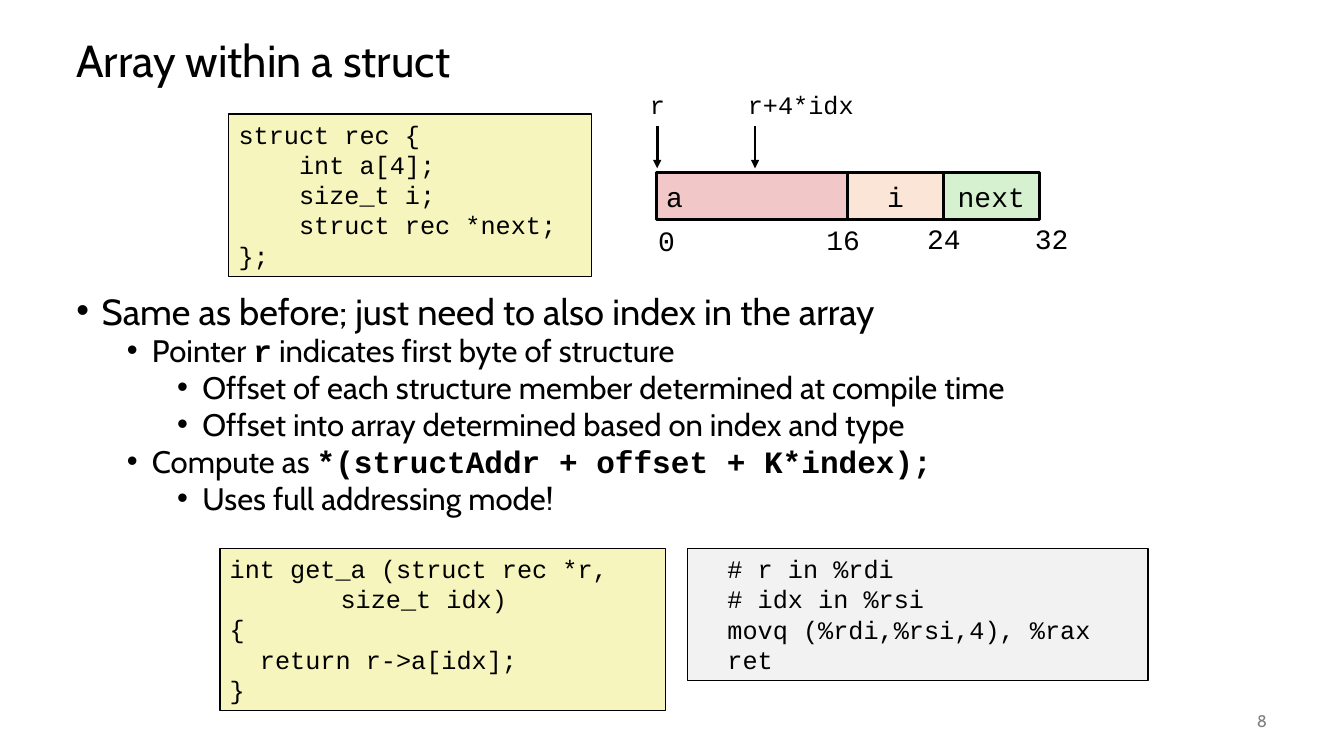
from dataclasses import dataclass
from lxml.etree import SubElement
from pptx import Presentation
from pptx.dml.color import RGBColor
from pptx.enum.shapes import MSO_CONNECTOR, MSO_SHAPE
from pptx.enum.text import MSO_ANCHOR, PP_ALIGN
from pptx.oxml.ns import qn
from pptx.util import Pt


@dataclass(frozen=True)
class Theme:
    ink: str = "000000"
    muted: str = "808080"
    c_code: str = "F6F5BD"
    assembly: str = "F2F2F2"
    array: str = "F1C7C7"
    index: str = "FBE5D6"
    pointer: str = "D5F1CF"
    sans: str = "Cabin"
    mono: str = "Courier New"
    title_size: float = 32
    lead_size: float = 25.9
    point_size: float = 22.2
    cell_size: float = 20
    code_size: float = 18
    number_size: float = 12


theme = Theme()
presentation = Presentation()
presentation.slide_width, presentation.slide_height = Pt(960), Pt(540)
slide = presentation.slides.add_slide(presentation.slide_layouts[6])


def style(run, face, size, color=theme.ink, bold=False):
    run.font.name = face
    run.font.size = Pt(size)
    run.font.bold = bold
    run.font.color.rgb = RGBColor.from_string(color)


def add_text(box, text, face, size, color=theme.ink, fill=None, border=1,
             align=PP_ALIGN.LEFT, anchor=MSO_ANCHOR.TOP, wrap=True):
    """Place text at box (left, top, width, height), in a bordered panel if filled."""
    place = [Pt(length) for length in box]
    if fill:
        holder = slide.shapes.add_shape(MSO_SHAPE.RECTANGLE, *place)
        holder.shadow.inherit = False
        holder.fill.solid()
        holder.fill.fore_color.rgb = RGBColor.from_string(fill)
        holder.line.color.rgb = RGBColor.from_string(theme.ink)
        holder.line.width = Pt(border)
    else:
        holder = slide.shapes.add_textbox(*place)
    frame = holder.text_frame
    frame.word_wrap = wrap
    frame.vertical_anchor = anchor
    frame.text = text
    for paragraph in frame.paragraphs:
        paragraph.alignment = align
        for run in paragraph.runs:
            style(run, face, size, color)
    return frame


# Title
title = add_text((47.5, 18, 864, 54), "Array within a struct", theme.sans,
                 theme.title_size, anchor=MSO_ANCHOR.MIDDLE)
title.paragraphs[0].line_spacing = 0.9

# Code panels
struct_code = """struct rec {
    int a[4];
    size_t i;
    struct rec *next;
};"""
getter_code = """int get_a (struct rec *r,
\t    size_t idx)
{
  return r->a[idx];
}"""
assembly_code = """  # r in %rdi
  # idx in %rsi
  movq (%rdi,%rsi,4), %rax
  ret"""
for code, box, fill in (
    (struct_code, (163.4, 81.4, 259.2, 116), theme.c_code),
    (getter_code, (157, 391.7, 318.2, 116), theme.c_code),
    (assembly_code, (491, 391.7, 329, 94.3), theme.assembly),
):
    add_text(box, code, theme.mono, theme.code_size, fill=fill)

# Memory layout: cell widths follow the byte offsets
record_left, record_top, record_height, byte_width = 468.7, 123.1, 33.8, 8.55
for member, start, end, fill, align in (
    ("a", 0, 16, theme.array, PP_ALIGN.LEFT),
    ("i", 16, 24, theme.index, PP_ALIGN.CENTER),
    ("next", 24, 32, theme.pointer, PP_ALIGN.CENTER),
):
    add_text((record_left + start * byte_width, record_top,
              (end - start) * byte_width, record_height),
             member, theme.mono, theme.cell_size, fill=fill, border=2,
             align=align, anchor=MSO_ANCHOR.MIDDLE, wrap=False)

# Byte offsets below the cells
for offset, left, top, width in (("0", 463, 156.2, 26), ("16", 583.2, 155.5, 39),
                                 ("24", 655.2, 154.8, 39), ("32", 732.2, 154.8, 39)):
    add_text((left, top, width, 31), offset, theme.mono, theme.cell_size, wrap=False)

# Address arrows above the cells
for address, x, width in (("r", 469.4, 25.2), ("r+4*idx", 539.3, 90.7)):
    add_text((x - 12.2, 60.5, width, 28.8), address, theme.mono,
             theme.code_size, wrap=False)
    arrow = slide.shapes.add_connector(MSO_CONNECTOR.STRAIGHT,
                                       Pt(x), Pt(90), Pt(x), Pt(120.2))
    arrow.line.color.rgb = RGBColor.from_string(theme.ink)
    arrow.line.width = Pt(2)
    SubElement(arrow.line._get_or_add_ln(), qn("a:tailEnd"), type="triangle")
    SubElement(arrow._element.spPr, qn("a:effectLst"))

# Explanation: (level, pieces), where every second piece is code
points = (
    (0, ("Same as before; just need to also index in the array",)),
    (1, ("Pointer ", "r", " indicates first byte of structure")),
    (2, ("Offset of each structure member determined at compile time",)),
    (2, ("Offset into array determined based on index and type",)),
    (1, ("Compute as ", "*(structAddr + offset + K*index);")),
    (2, ("Uses full addressing mode!",)),
)
explanation = add_text((47.5, 208.8, 864, 174.2), "", theme.sans, theme.point_size)
for number, (level, pieces) in enumerate(points):
    paragraph = explanation.add_paragraph() if number else explanation.paragraphs[0]
    paragraph.level = level
    paragraph.line_spacing = 0.8
    paragraph.space_before = Pt(5 if number else 0)
    properties = paragraph._p.get_or_add_pPr()
    properties.set("marL", str(Pt(18 + 36 * level)))
    properties.set("indent", str(Pt(-18)))
    SubElement(properties, qn("a:buFont"), typeface="Arial")
    SubElement(properties, qn("a:buChar"), char="•")
    for position, piece in enumerate(pieces):
        is_code = position % 2 == 1
        run = paragraph.add_run()
        run.text = piece
        style(run, theme.mono if is_code else theme.sans,
              theme.point_size if level else theme.lead_size, bold=is_code)

# Page number
add_text((840.2, 500.4, 72, 28.8), "8", theme.sans, theme.number_size,
         color=theme.muted, align=PP_ALIGN.RIGHT, anchor=MSO_ANCHOR.MIDDLE)

presentation.save("out.pptx")
